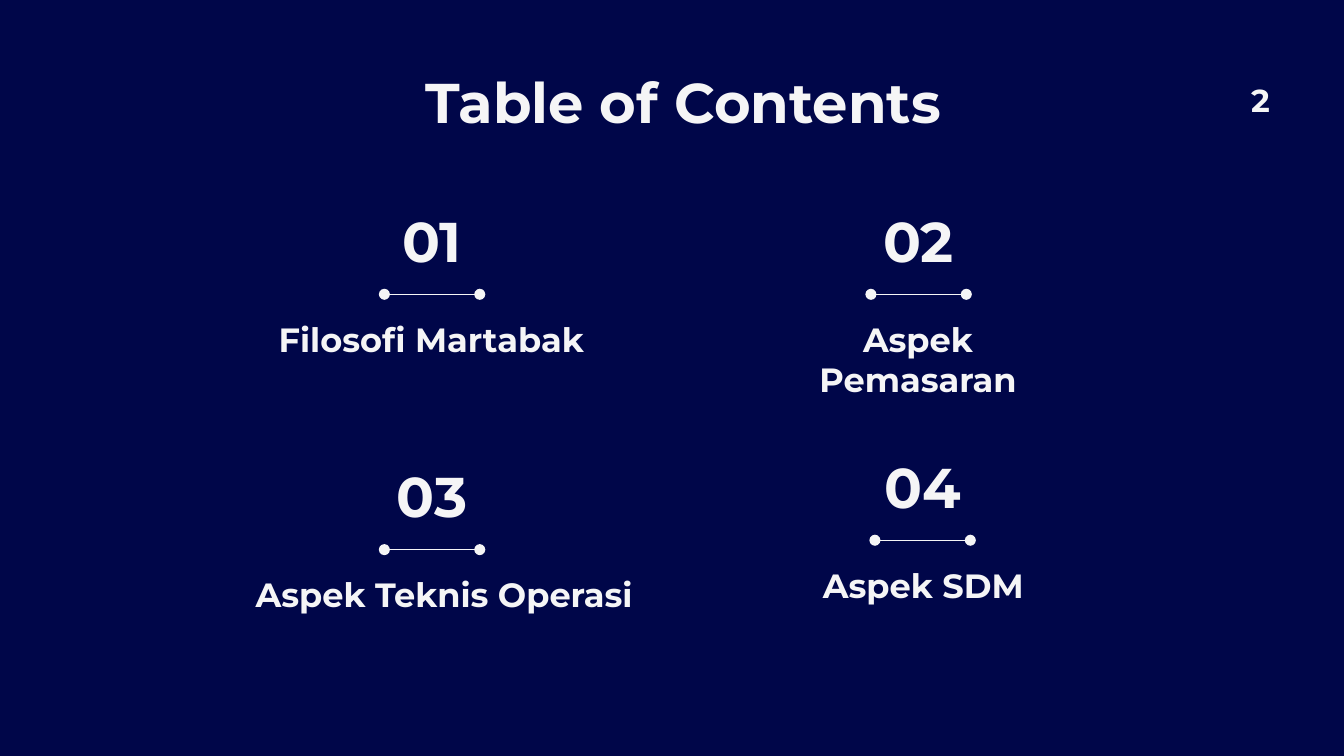
import pptx
import pptx.util
import pptx.dml.color
import pptx.enum.shapes
import pptx.enum.text
import pptx.oxml.ns
from lxml import etree

Inches = pptx.util.Inches
COLORS = {"background": "000649", "text": "F5F5F6"}
TEXT_COLOR = pptx.dml.color.RGBColor.from_string(COLORS["text"])
ANCHOR = pptx.enum.text.MSO_ANCHOR


def write_text(box, text, size, anchor=ANCHOR.TOP):
    frame = box.text_frame
    frame.text = text
    frame.word_wrap = True
    frame.auto_size = pptx.enum.text.MSO_AUTO_SIZE.NONE
    frame.vertical_anchor = anchor
    frame.margin_left = frame.margin_right = Inches(0.1)
    frame.margin_top = frame.margin_bottom = Inches(0.1)
    para = frame.paragraphs[0]
    para.alignment = pptx.enum.text.PP_ALIGN.CENTER
    font = para.runs[0].font
    font.name = "Montserrat"
    font.size = pptx.util.Pt(size)
    font.bold = True
    font.color.rgb = TEXT_COLOR


def add_divider(page, left, right, y):
    """Draw a thin horizontal line with a dot at each end."""
    line = page.shapes.add_connector(
        pptx.enum.shapes.MSO_CONNECTOR.STRAIGHT,
        Inches(left), Inches(y), Inches(right), Inches(y))
    line.line.color.rgb = TEXT_COLOR
    line.line.width = pptx.util.Pt(0.75)
    outline = line.line._get_or_add_ln()
    for end in ("a:headEnd", "a:tailEnd"):
        etree.SubElement(outline, pptx.oxml.ns.qn(end), type="oval")
    etree.SubElement(line._element.spPr, pptx.oxml.ns.qn("a:effectLst"))


deck = pptx.Presentation()
deck.slide_width = Inches(10)
deck.slide_height = Inches(10) * 9 // 16
page = deck.slides.add_slide(deck.slide_layouts[5])  # Title Only
page.background.fill.solid()
page.background.fill.fore_color.rgb = pptx.dml.color.RGBColor.from_string(
    COLORS["background"])

title = page.shapes.title
title.left, title.top = Inches(0.87), Inches(0.4)
title.width, title.height = Inches(8.43), Inches(0.63)
write_text(title, "Table of Contents", 30)

page_number = page.shapes.add_textbox(
    Inches(9.16), Inches(0.5), Inches(0.44), Inches(0.49))
write_text(page_number, "2", 17)

# Number, section name, number left, top, name left, name width
sections = [
    ("01", "Filosofi Martabak", 2.76, 1.54, 1.95, 2.52),
    ("02", "Aspek Pemasaran", 6.38, 1.54, 5.57, 2.52),
    ("03", "Aspek Teknis Operasi", 2.76, 3.44, 1.48, 3.65),
    ("04", "Aspek SDM", 6.41, 3.37, 5.61, 2.52),
]
for number, name, left, top, name_left, name_width in sections:
    number_box = page.shapes.add_textbox(
        Inches(left), Inches(top), Inches(0.91), Inches(0.49))
    write_text(number_box, number, 30, ANCHOR.MIDDLE)
    add_divider(page, left + 0.1, left + 0.81, top + 0.65)
    name_box = page.shapes.add_textbox(
        Inches(name_left), Inches(top + 0.73), Inches(name_width), Inches(0.87))
    write_text(name_box, name, 18)

deck.save("out.pptx")
